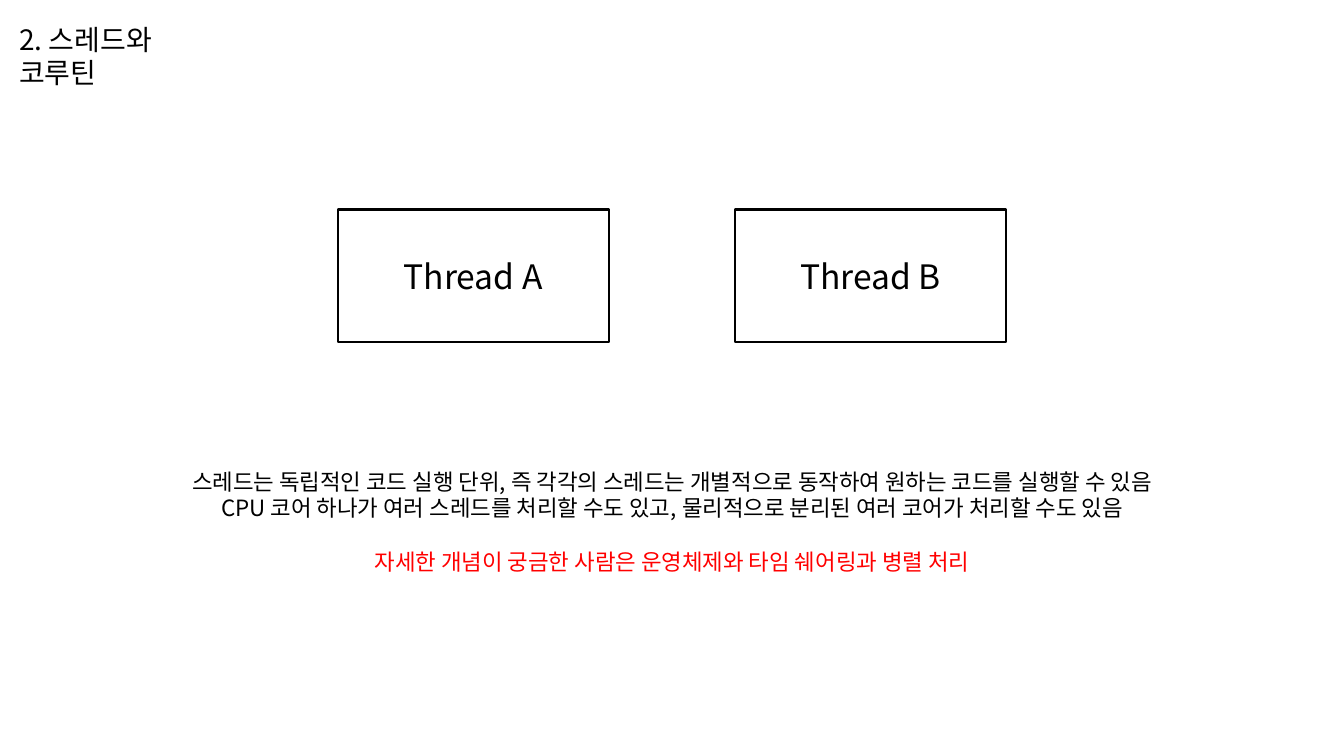
import pptx
import pptx.util
import pptx.dml.color
import pptx.enum.shapes
import pptx.enum.text
import lxml.etree
from pptx.oxml.ns import qn

Cm = pptx.util.Cm
Pt = pptx.util.Pt
PP_ALIGN = pptx.enum.text.PP_ALIGN
MSO_ANCHOR = pptx.enum.text.MSO_ANCHOR


def rgb(value):
    return pptx.dml.color.RGBColor.from_string(value)


def write(p, text, font, size=16, color="000000", align=PP_ALIGN.LEFT, leading=None, before=0):
    p.alignment = align
    if leading:
        p.line_spacing = Pt(size * leading)
    if before:
        p.space_before = Pt(before)
    r = p.add_run()
    r.text = text
    r.font.name = font
    r.font.size = Pt(size)
    r.font.color.rgb = rgb(color)
    ea = lxml.etree.SubElement(r.font._element, qn("a:ea"))
    ea.set("typeface", font)


class Deck:
    font = "Noto Sans CJK KR"
    ink = "000000"
    paper = "FFFFFF"
    accent = "FF0000"
    leading = 1.2

    def __init__(self):
        self.prs = pptx.Presentation()
        self.prs.slide_width = Cm(33.87)
        self.prs.slide_height = Cm(19.05)
        self.s = self.prs.slides.add_slide(self.prs.slide_layouts[6])

    def text(self, left, top, width, height, lines, right=0.25):
        sp = self.s.shapes.add_textbox(Cm(left), Cm(top), Cm(width), Cm(height))
        tf = sp.text_frame
        tf.word_wrap = True
        tf.margin_right = Cm(right)
        for i, (line, style) in enumerate(lines):
            p = tf.add_paragraph() if i else tf.paragraphs[0]
            write(p, line, self.font, leading=self.leading, **style)

    def box(self, left, top, width, height, label):
        sp = self.s.shapes.add_shape(
            pptx.enum.shapes.MSO_SHAPE.RECTANGLE, Cm(left), Cm(top), Cm(width), Cm(height))
        sp.shadow.inherit = False
        sp.fill.solid()
        sp.fill.fore_color.rgb = rgb(self.paper)
        sp.line.color.rgb = rgb(self.ink)
        sp.line.width = Pt(1.5)
        tf = sp.text_frame
        tf.vertical_anchor = MSO_ANCHOR.MIDDLE
        write(tf.paragraphs[0], label, self.font, size=24, color=self.ink, align=PP_ALIGN.CENTER)


def main():
    deck = Deck()
    deck.text(0.23, 0.43, 6.15, 1.12, [("2. 스레드와 코루틴", {"size": 20})], right=0.6)
    for i, name in enumerate("AB"):
        deck.box(8.51 + i * 10.01, 5.28, 6.83, 3.35, f"Thread {name}")
    center = {"align": PP_ALIGN.CENTER}
    deck.text(4.52, 11.66, 24.84, 3, [
        ("스레드는 독립적인 코드 실행 단위, 즉 각각의 스레드는 개별적으로 동작하여 원하는 코드를 실행할 수 있음", center),
        ("CPU 코어 하나가 여러 스레드를 처리할 수도 있고, 물리적으로 분리된 여러 코어가 처리할 수도 있음", center),
        ("자세한 개념이 궁금한 사람은 운영체제와 타임 쉐어링과 병렬 처리",
         {**center, "color": deck.accent, "before": 19.2}),
    ])
    deck.prs.save("out.pptx")


if __name__ == "__main__":
    main()
